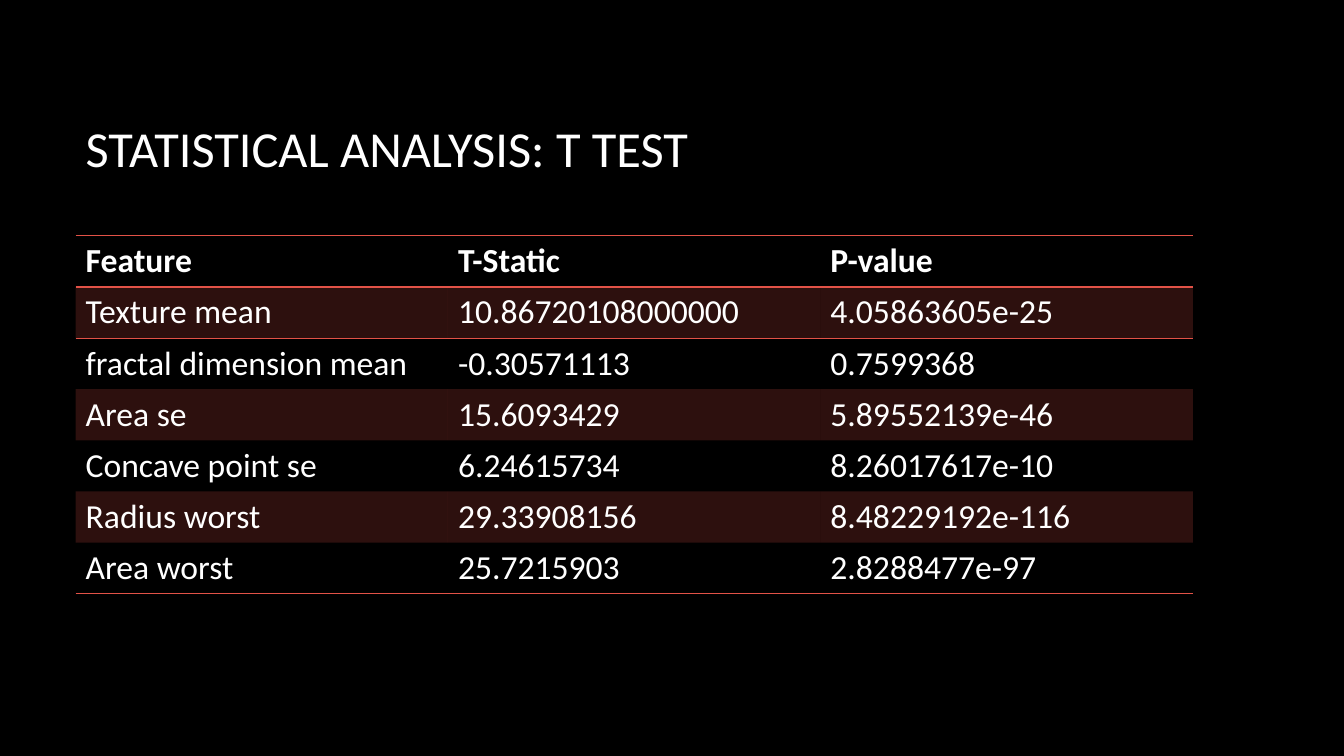
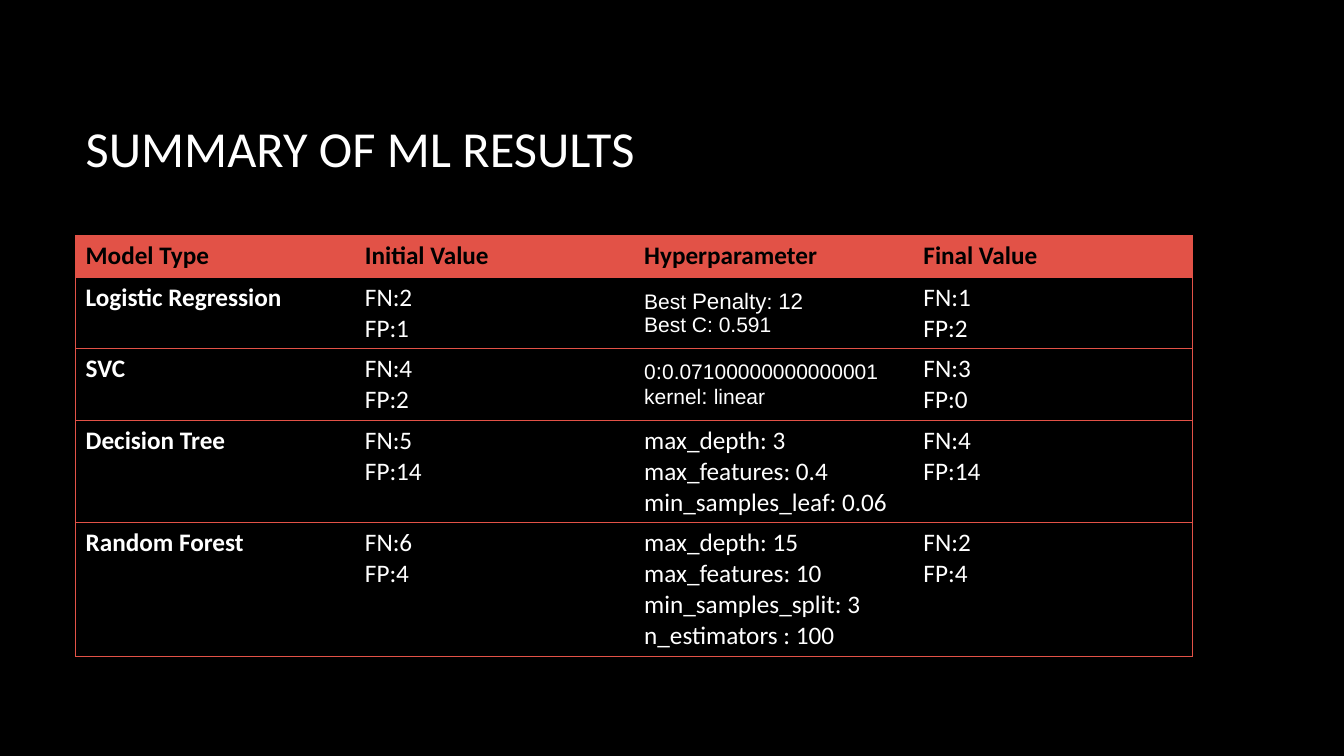
import copy

import pptx
import pptx.dml.color
import pptx.enum.text
import pptx.oxml
import pptx.oxml.ns
import pptx.util
from pptx.util import Inches

BLACK, WHITE, RED = "000000", "FFFFFF", "E25247"
PLAIN_TABLE_STYLE = "{2D5ABB26-0587-4C30-8999-92F81FD0307C}"
TITLE_BOX = {"left": Inches(0.75), "top": Inches(0.67),
             "width": Inches(11.08), "height": Inches(1.59)}
TABLE_CORNER = (Inches(0.75), Inches(2.34))
TABLE_WIDTH = Inches(11.08)
MIDDLE = pptx.enum.text.MSO_ANCHOR.MIDDLE

T_TEST_ROWS = [
    ["Feature", "T-Static", "P-value"],
    ["Texture mean", "10.86720108000000", "4.05863605e-25"],
    ["fractal dimension mean", "-0.30571113", "0.7599368"],
    ["Area se", "15.6093429", "5.89552139e-46"],
    ["Concave point se", "6.24615734", "8.26017617e-10"],
    ["Radius worst", "29.33908156", "8.48229192e-116"],
    ["Area worst", "25.7215903", "2.8288477e-97"],
]

LOGISTIC_TUNING = [("Best ", 15), ("Penalty", 16), (": ", 15), ("12\v", 16), ("Best C: 0.591", 15)]
SVC_TUNING = [("0", 15), (":", 16), ("0.07100000000000001\vkernel", 15), (": ", 16), ("linear", 15)]

MODEL_ROWS = [
    ["Model Type", "Initial Value", "Hyperparameter", "Final Value"],
    ["Logistic Regression", "FN:2\nFP:1", LOGISTIC_TUNING, "FN:1\nFP:2"],
    ["SVC", "FN:4\nFP:2", SVC_TUNING, "FN:3\nFP:0"],
    ["Decision Tree", "FN:5\nFP:14",
     "max_depth: 3 max_features: 0.4\vmin_samples_leaf: 0.06", "FN:4\nFP:14"],
    ["Random Forest", "FN:6\nFP:4",
     "max_depth: 15 max_features: 10 \vmin_samples_split: 3 n_estimators : 100", "FN:2\nFP:4"],
]


def rgb(color):
    return pptx.dml.color.RGBColor.from_string(color)


def apply(target, values):
    for name, value in values.items():
        setattr(target, name, value)


def add_text(paragraph, text, size, color=WHITE, face="Calibri", bold=False):
    for index, line in enumerate(text.split("\v")):
        if index:
            paragraph.add_line_break()
            paragraph._p[-1].append(copy.deepcopy(run._r.rPr))
        run = paragraph.add_run()
        run.text = line
        apply(run.font, {"size": pptx.util.Pt(size), "name": face, "bold": bold})
        run.font.color.rgb = rgb(color)


def write_cell(cell, content, size, color, bold):
    frame = cell.text_frame
    if isinstance(content, list):
        cell.vertical_anchor = MIDDLE
        for text, run_size in content:
            add_text(frame.paragraphs[0], text, run_size, face="Arial")
        return
    for index, text in enumerate(content.split("\n")):
        paragraph = frame.add_paragraph() if index else frame.paragraphs[0]
        add_text(paragraph, text, size, color, bold=bold)


def draw_borders(cell, sides, width):
    properties = cell._tc.get_or_add_tcPr()
    for side in "LRTB":
        if side in sides:
            properties.append(pptx.oxml.parse_xml(
                f'<a:ln{side} {pptx.oxml.ns.nsdecls("a")} w="{pptx.util.Pt(width)}">'
                f'<a:solidFill><a:srgbClr val="{RED}"/></a:solidFill></a:ln{side}>'))


def fill_cell(cell, opacity):
    if not opacity:
        cell.fill.background()
        return
    cell.fill.solid()
    cell.fill.fore_color.rgb = rgb(RED)
    if opacity < 100:
        cell_fill = cell._tc.tcPr.find(pptx.oxml.ns.qn("a:solidFill"))
        cell_fill[0].append(pptx.oxml.parse_xml(
            f'<a:alpha {pptx.oxml.ns.nsdecls("a")} val="{opacity * 1000}"/>'))


def add_result_table(slide, corner, rows, row_height, size, line_width, rules,
                     framed=False, header_color=WHITE, header_opacity=0,
                     band_opacity=0, bold_labels=False):
    column_count = len(rows[0])
    table = slide.shapes.add_table(len(rows), column_count, *corner,
                                   TABLE_WIDTH, row_height * len(rows)).table
    table._tbl.tblPr.find(pptx.oxml.ns.qn("a:tableStyleId")).text = PLAIN_TABLE_STYLE
    for r, contents in enumerate(rows):
        table.rows[r].height = row_height
        opacity = header_opacity if r == 0 else band_opacity * (r % 2)
        for c, content in enumerate(contents):
            cell = table.cell(r, c)
            edges = {"L": framed and c == 0, "R": framed and c == column_count - 1,
                     "T": r in rules, "B": r + 1 in rules}
            draw_borders(cell, [side for side, drawn in edges.items() if drawn], line_width)
            fill_cell(cell, opacity)
            write_cell(cell, content, size, header_color if r == 0 else WHITE,
                       r == 0 or (bold_labels and c == 0))


def add_titled_slide(deck, title):
    slide = deck.slides.add_slide(deck.slide_layouts[5])
    heading = slide.shapes.title
    apply(heading, TITLE_BOX)
    apply(heading.text_frame, {"vertical_anchor": MIDDLE, "word_wrap": True,
                               "auto_size": pptx.enum.text.MSO_AUTO_SIZE.NONE})
    paragraph = heading.text_frame.paragraphs[0]
    paragraph.alignment = pptx.enum.text.PP_ALIGN.LEFT
    add_text(paragraph, title, 36)
    return slide


def build_t_test(deck):
    slide = add_titled_slide(deck, "STATISTICAL ANALYSIS: T TEST")
    add_result_table(slide, TABLE_CORNER, T_TEST_ROWS, Inches(0.5), 24, 1,
                     rules={0, 1, len(T_TEST_ROWS)}, band_opacity=20)


def build_model_summary(deck):
    slide = add_titled_slide(deck, "SUMMARY OF ML RESULTS")
    add_result_table(slide, TABLE_CORNER, MODEL_ROWS, Inches(0.41), 18, 0.75,
                     rules=set(range(len(MODEL_ROWS) + 1)), framed=True,
                     header_color=BLACK, header_opacity=100, bold_labels=True)


def main():
    deck = pptx.Presentation()
    apply(deck, {"slide_width": Inches(13.33), "slide_height": Inches(7.5)})
    backdrop = deck.slide_master.background.fill
    backdrop.solid()
    backdrop.fore_color.rgb = rgb(BLACK)
    build_t_test(deck)
    build_model_summary(deck)
    deck.save("out.pptx")


if __name__ == "__main__":
    main()
